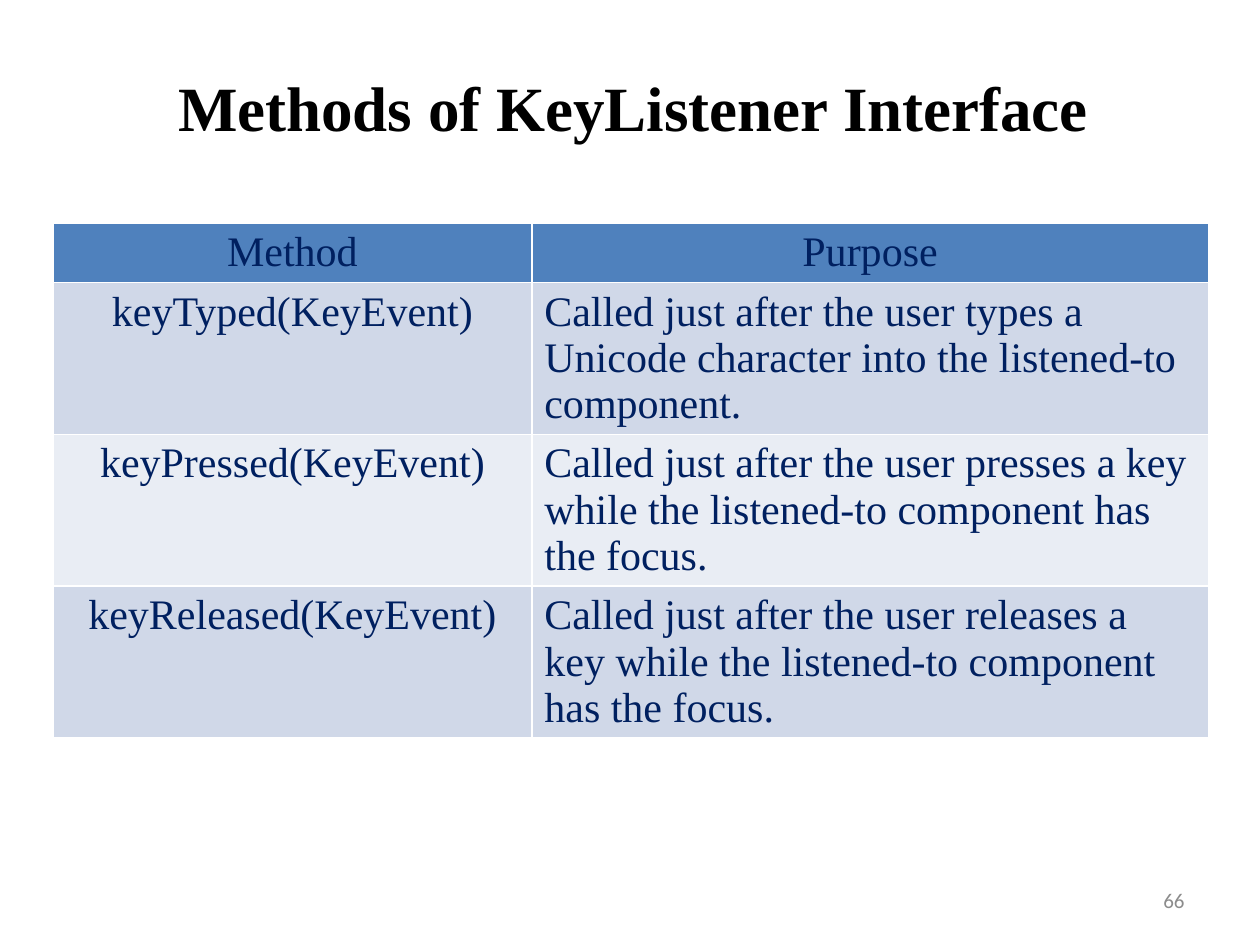
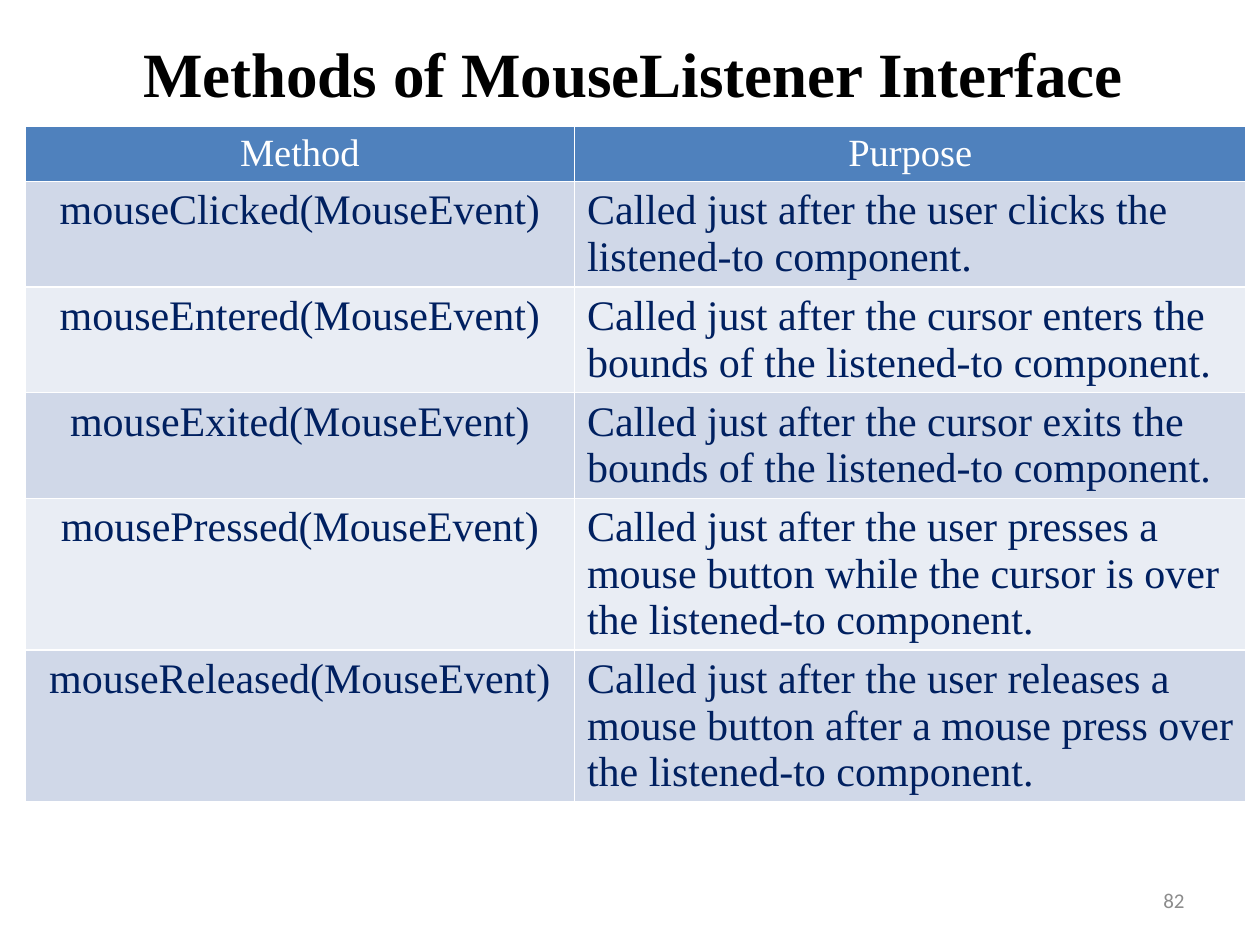
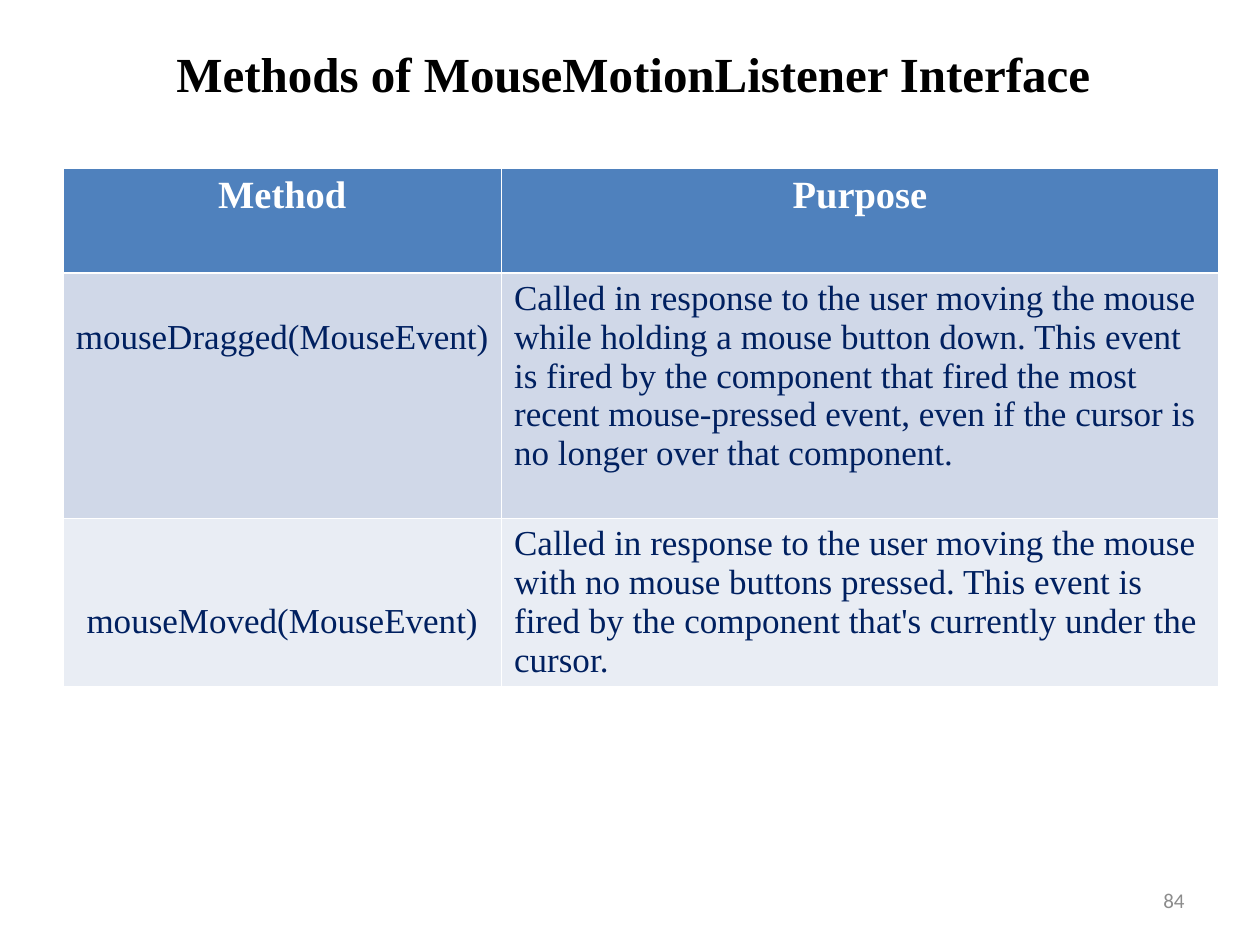
from pptx import Presentation
from pptx.dml.color import RGBColor
from pptx.enum import text
from pptx.util import Cm, Pt

# Content: one entry per slide, lengths in cm
SLIDES = [
    {
        "title": "Methods of KeyListener Interface", "title_size": 36, "title_top": 0.69,
        "number": "66", "corner": (1.07, 4.5), "columns": (9.65, 13.64),
        "heights": (1.17, 3.06, 3.06, 3.06),
        "header_size": 24, "header_dark": True, "header_bold": False, "body_size": 24,
        "methods": [
            ("keyTyped(KeyEvent)",
             "Called just after the user types a Unicode character into the listened-to component."),
            ("keyPressed(KeyEvent)",
             "Called just after the user presses a key while the listened-to component has the focus."),
            ("keyReleased(KeyEvent)",
             "Called just after the user releases a key while the listened-to component has the focus."),
        ],
    },
    {
        "title": "Methods of MouseListener Interface", "title_size": 36, "title_top": 0,
        "number": "82", "corner": (0.51, 2.54), "columns": (11.07, 13.54),
        "heights": (1.11, 2.13, 2.13, 2.13, 3.06, 3.06),
        "header_size": 22, "header_dark": False, "header_bold": False, "body_size": 24,
        "methods": [
            ("mouseClicked(MouseEvent)",
             "Called just after the user clicks the listened-to component."),
            ("mouseEntered(MouseEvent)",
             "Called just after the cursor enters the bounds of the listened-to component."),
            ("mouseExited(MouseEvent)",
             "Called just after the cursor exits the bounds of the listened-to component."),
            ("mousePressed(MouseEvent)",
             "Called just after the user presses a mouse button while the cursor is over "
             "the listened-to component."),
            ("mouseReleased(MouseEvent)",
             "Called just after the user releases a mouse button after a mouse press over "
             "the listened-to component."),
        ],
    },
    {
        "title": "Methods of MouseMotionListener Interface", "title_size": 28, "title_top": 0,
        "number": "84", "corner": (1.27, 3.39), "columns": (8.84, 14.45),
        "heights": (2.11, 4.95, 3.39),
        "header_size": 22, "header_dark": False, "header_bold": True, "body_size": 20,
        "name_drops": (1, 2),  # lines by which each method name is lowered
        "methods": [
            ("mouseDragged(MouseEvent)",
             "Called in response to the user moving the mouse while holding a mouse button down. "
             "This event is fired by the component that fired the most recent mouse-pressed event, "
             "even if the cursor is no longer over that component."),
            ("mouseMoved(MouseEvent)",
             "Called in response to the user moving the mouse with no mouse buttons pressed. "
             "This event is fired by the component that's currently under the cursor."),
        ],
    },
]
HEADER = ("Method", "Purpose")

# Shared look
BLACK = RGBColor(0x00, 0x00, 0x00)
WHITE = RGBColor(0xFF, 0xFF, 0xFF)
NAVY = RGBColor(0x00, 0x20, 0x60)
GREY = RGBColor(0x8C, 0x8C, 0x8C)
HEADER_FILL = RGBColor(0x4F, 0x81, 0xBD)
BAND_FILLS = (RGBColor(0xD0, 0xD8, 0xE8), RGBColor(0xE9, 0xED, 0xF4))
SERIF, SANS = "Times New Roman", "Calibri"
LEFT, CENTER, RIGHT = text.PP_ALIGN.LEFT, text.PP_ALIGN.CENTER, text.PP_ALIGN.RIGHT
LINE_HEIGHT = 1.11  # of the font size
CELL_MARGIN = Cm(0.13)


def write(frame, words, size, color, align, bold=False, font_name=SERIF):
    frame.text = words
    paragraph = frame.paragraphs[0]
    paragraph.alignment = align
    font = paragraph.runs[0].font
    font.name, font.size, font.bold = font_name, Pt(size), bold
    font.color.rgb = color


def add_title(slide, content):
    title = slide.shapes.title
    title.left, title.top = Cm(1.4), Cm(content["title_top"])
    title.width, title.height = Cm(22.73), Cm(2.92)
    frame = title.text_frame
    write(frame, content["title"], content["title_size"], BLACK, CENTER, bold=True)
    frame.vertical_anchor = text.MSO_ANCHOR.MIDDLE
    frame.auto_size = text.MSO_AUTO_SIZE.NONE


def add_method_table(slide, content):
    columns, heights = content["columns"], content["heights"]
    left, top = content["corner"]
    table = slide.shapes.add_table(len(heights), len(columns), Cm(left), Cm(top),
                                   Cm(sum(columns)), Cm(sum(heights))).table
    for column, width in zip(table.columns, columns):
        column.width = Cm(width)
    for row, height in zip(table.rows, heights):
        row.height = Cm(height)

    # Header row
    header_color = NAVY if content["header_dark"] else WHITE
    for cell, label in zip(table.rows[0].cells, HEADER):
        cell.fill.solid()
        cell.fill.fore_color.rgb = HEADER_FILL
        write(cell.text_frame, label, content["header_size"], header_color, CENTER,
              content["header_bold"])

    # Method rows in alternating bands
    size = content["body_size"]
    for index, method in enumerate(content["methods"]):
        cells = table.rows[index + 1].cells
        for cell, words, align in zip(cells, method, (CENTER, LEFT)):
            cell.fill.solid()
            cell.fill.fore_color.rgb = BAND_FILLS[index % 2]
            write(cell.text_frame, words, size, NAVY, align)
    for index, lines in enumerate(content.get("name_drops", ())):
        table.cell(index + 1, 0).margin_top = CELL_MARGIN + Pt(lines * size * LINE_HEIGHT)


def add_number(slide, number):
    box = slide.shapes.add_textbox(Cm(18.2), Cm(17.65), Cm(5.93), Cm(1.01))
    box.text_frame.word_wrap = True
    box.text_frame.vertical_anchor = text.MSO_ANCHOR.MIDDLE
    write(box.text_frame, number, 12, GREY, RIGHT, font_name=SANS)


def main():
    presentation = Presentation()
    presentation.slide_width, presentation.slide_height = Cm(25.4), Cm(19.05)
    title_only = presentation.slide_layouts.get_by_name("Title Only")
    for content in SLIDES:
        slide = presentation.slides.add_slide(title_only)
        add_title(slide, content)
        add_method_table(slide, content)
        add_number(slide, content["number"])
    presentation.save("out.pptx")


if __name__ == "__main__":
    main()
